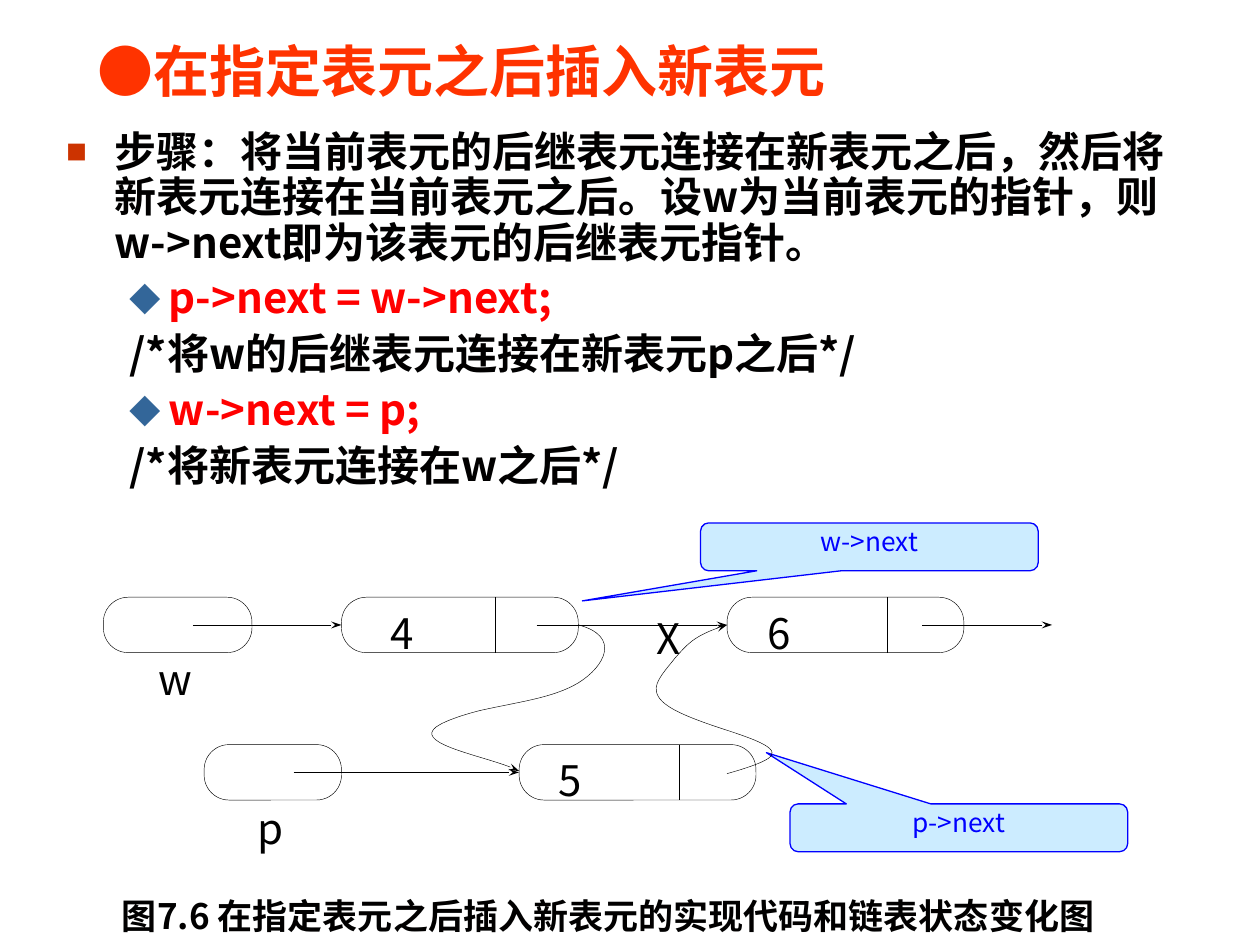
from dataclasses import dataclass

from lxml import etree
from pptx import Presentation
from pptx.dml.color import RGBColor
from pptx.enum.shapes import MSO_CONNECTOR, MSO_SHAPE
from pptx.enum.text import MSO_ANCHOR, MSO_AUTO_SIZE, PP_ALIGN
from pptx.oxml.ns import qn
from pptx.util import Pt

PX = 9144  # EMU per px, at 100 px to the inch
STRAIGHT = MSO_CONNECTOR.STRAIGHT
NODE = MSO_SHAPE.ROUNDED_RECTANGLE
CALLOUT = MSO_SHAPE.ROUNDED_RECTANGULAR_CALLOUT
TOP, MIDDLE = MSO_ANCHOR.TOP, MSO_ANCHOR.MIDDLE
LEFT, CENTER = PP_ALIGN.LEFT, PP_ALIGN.CENTER
LEFT_SIDE = 1
NODE_HEIGHT = 44


@dataclass(frozen=True)
class Theme:
    font: str = "Noto Sans CJK SC"
    title: str = "FF3300"
    ink: str = "010000"
    code: str = "FF0000"
    square: str = "CC3300"
    diamond: str = "336699"
    note: str = "0000FF"
    note_fill: str = "CCECFF"
    line: str = "000000"
    paper: str = "FFFFFF"
    title_size: int = 32
    body_size: int = 24
    caption_size: int = 20
    note_size: int = 15
    thin: float = 0.25
    note_line: float = 0.75


class Page:
    def __init__(self, slide, theme):
        self.slide = slide
        self.theme = theme

    def style(self, paragraph, size, color, bold=False, align=LEFT, spacing=1.0):
        paragraph.alignment = align
        paragraph.line_spacing = spacing
        for span in paragraph.runs:
            span.font.size = Pt(size)
            span.font.bold = bold
            span.font.color.rgb = RGBColor.from_string(color)
            span.font.name = self.theme.font
            east_asian = etree.SubElement(span.font._element, qn("a:ea"))
            east_asian.set("typeface", self.theme.font)

    def place(self, shape, left, top, width, height):
        shape.left, shape.top = left * PX, top * PX
        shape.width, shape.height = width * PX, height * PX

    def title(self, text, *area):
        shape = self.slide.shapes.title
        self.place(shape, *area)
        frame = shape.text_frame
        frame.text = text
        frame.auto_size = MSO_AUTO_SIZE.NONE
        frame.vertical_anchor = MIDDLE
        self.style(frame.paragraphs[0], self.theme.title_size, self.theme.title,
                   bold=True, spacing=0.7)

    def bullet(self, paragraph, margin, hanging, char, color, percent):
        """Set the indents and the bullet; no char means no bullet."""
        properties = paragraph._p.get_or_add_pPr()
        properties.set("marL", str(margin * PX))
        properties.set("indent", str(-hanging * PX))
        if not char:
            etree.SubElement(properties, qn("a:buNone"))
            return
        bullet_color = etree.SubElement(properties, qn("a:buClr"))
        etree.SubElement(bullet_color, qn("a:srgbClr")).set("val", color)
        etree.SubElement(properties, qn("a:buSzPct")).set("val", str(percent * 1000))
        etree.SubElement(properties, qn("a:buFont")).set("typeface", self.theme.font)
        etree.SubElement(properties, qn("a:buChar")).set("char", char)

    def body(self, intro, steps, *area):
        """Fill the body with an intro and pairs of code and comment."""
        theme = self.theme
        shape = self.slide.placeholders[1]
        self.place(shape, *area)
        frame = shape.text_frame
        frame.auto_size = MSO_AUTO_SIZE.NONE
        frame.text = intro
        first = frame.paragraphs[0]
        self.bullet(first, 38, 38, "■", theme.square, 50)
        first.space_before = Pt(0)
        self.style(first, theme.body_size, theme.ink, bold=True, spacing=0.9)
        for code, comment in steps:
            for text, color, char in ((code, theme.code, "◆"), (comment, theme.ink, "")):
                paragraph = frame.add_paragraph()
                paragraph.text = text
                paragraph.level = 1
                self.bullet(paragraph, 81, 31, char, theme.diamond, 75)
                paragraph.space_before = Pt(6)
                self.style(paragraph, theme.body_size, color, bold=True, spacing=0.9)

    def outline(self, shape, color, width):
        shape.line.color.rgb = RGBColor.from_string(color)
        shape.line.width = Pt(width)

    def shape(self, preset, area, fill, line, width):
        shape = self.slide.shapes.add_shape(preset, *(value * PX for value in area))
        shape.shadow.inherit = False
        shape.fill.solid()
        shape.fill.fore_color.rgb = RGBColor.from_string(fill)
        self.outline(shape, line, width)
        return shape

    def callout(self, text, left, top, tip_x, tip_y):
        """Draw a note whose tip lies at the given fractions from its centre."""
        theme = self.theme
        shape = self.shape(CALLOUT, (left, top, 268, 38), theme.note_fill,
                           theme.note, theme.note_line)
        for index, value in enumerate((tip_x, tip_y, 0.17)):
            shape.adjustments[index] = value
        frame = shape.text_frame
        frame.text = text
        frame.vertical_anchor = TOP
        self.style(frame.paragraphs[0], theme.note_size, theme.note,
                   align=CENTER, spacing=0.8)

    def node(self, left, top, width, divider=None):
        theme = self.theme
        shape = self.shape(NODE, (left, top, width, NODE_HEIGHT), theme.paper,
                           theme.line, theme.thin)
        shape.adjustments[0] = 0.45
        if divider:
            self.line(divider, top, divider, top + NODE_HEIGHT)
        return shape

    def label(self, text, left, top, width, height=40, size=None, bold=False, inset=0):
        box = self.slide.shapes.add_textbox(left * PX, top * PX, width * PX, height * PX)
        frame = box.text_frame
        frame.word_wrap = False
        frame.margin_left = frame.margin_right = 2 * inset * PX
        frame.margin_top = frame.margin_bottom = inset * PX
        frame.text = text
        color = self.theme.ink if bold else self.theme.line
        self.style(frame.paragraphs[0], size or self.theme.body_size, color, bold)

    def arrowhead(self, shape):
        end = etree.SubElement(shape.line._get_or_add_ln(), qn("a:tailEnd"))
        for name, value in (("type", "stealth"), ("w", "sm"), ("len", "med")):
            end.set(name, value)

    def line(self, *ends):
        connector = self.slide.shapes.add_connector(STRAIGHT, *(end * PX for end in ends))
        self.outline(connector, self.theme.line, self.theme.thin)
        etree.SubElement(connector._element.spPr, qn("a:effectLst"))
        return connector

    def arrow(self, start, end, y, target=None):
        connector = self.line(start, y, end, y)
        self.arrowhead(connector)
        if target:
            connector.end_connect(target, LEFT_SIDE)

    def curve(self, start, *points):
        """Draw an open Bézier arrow; every three points make one segment."""
        builder = self.slide.shapes.build_freeform(*start, scale=PX)
        builder.add_line_segments(points, close=False)
        shape = builder.convert_to_shape()
        shape.shadow.inherit = False
        shape.fill.background()
        self.outline(shape, self.theme.line, self.theme.thin)
        self.arrowhead(shape)
        outline = next(shape._element.iter(qn("a:path")))
        steps = outline.findall(qn("a:lnTo"))
        for index in range(0, len(steps), 3):
            segment = etree.SubElement(outline, qn("a:cubicBezTo"))
            for step in steps[index:index + 3]:
                segment.append(step[0])
                outline.remove(step)


def main():
    deck = Presentation()
    deck.slide_width, deck.slide_height = 1000 * PX, 750 * PX
    theme = Theme()
    page = Page(deck.slides.add_slide(deck.slide_layouts[1]), theme)

    page.title("●在指定表元之后插入新表元", 67, 21, 693, 83)
    page.body(
        "步骤：将当前表元的后继表元连接在新表元之后，然后将新表元连接在当前表元之后。"
        "设w为当前表元的指针，则w->next即为该表元的后继表元指针。",
        [("p->next = w->next;", "/*将w的后继表元连接在新表元p之后*/"),
         ("w->next = p;", "/*将新表元连接在w之后*/")],
        43, 99, 900, 323)

    page.callout("p->next", 627, 638, -0.57, -1.57)
    page.callout("w->next", 556, 415, -0.85, 1.13)

    upper, lower = 474, 591
    upper_middle, lower_middle = upper + NODE_HEIGHT // 2, lower + NODE_HEIGHT // 2
    page.node(82, upper, 118)
    current = page.node(271, upper, 188, divider=393)
    following = page.node(577, upper, 188, divider=704)
    page.node(162, lower, 109)
    inserted = page.node(412, lower, 188, divider=539)

    page.arrow(153, 271, upper_middle, current)
    page.arrow(426, 577, upper_middle, following)
    page.arrow(732, 835, upper_middle)
    page.arrow(233, 412, lower_middle, inserted)
    page.curve((577, 614), (588, 611), (608, 605), (612, 600),
               (618, 592), (590, 584), (566, 576), (543, 568), (523, 560), (521, 549),
               (519, 541), (529, 531), (536, 522), (545, 512), (551, 504), (577, 496))
    page.curve((459, 496), (493, 505), (480, 529), (459, 542),
               (439, 554), (412, 557), (381, 564), (365, 568), (348, 574), (344, 579),
               (334, 591), (393, 602), (412, 612))

    for text, left, top, width in (("w", 126, 519, 27), ("4", 310, 482, 20),
                                   ("6", 609, 482, 20), ("p", 204, 637, 21),
                                   ("5", 443, 599, 20), ("X", 521, 486, 20)):
        page.label(text, left, top, width)
    page.label("图7.6 在指定表元之后插入新表元的实现代码和链表状态变化图",
               87, 705, 810, 44, theme.caption_size, bold=True, inset=5)

    deck.save("out.pptx")


if __name__ == "__main__":
    main()
